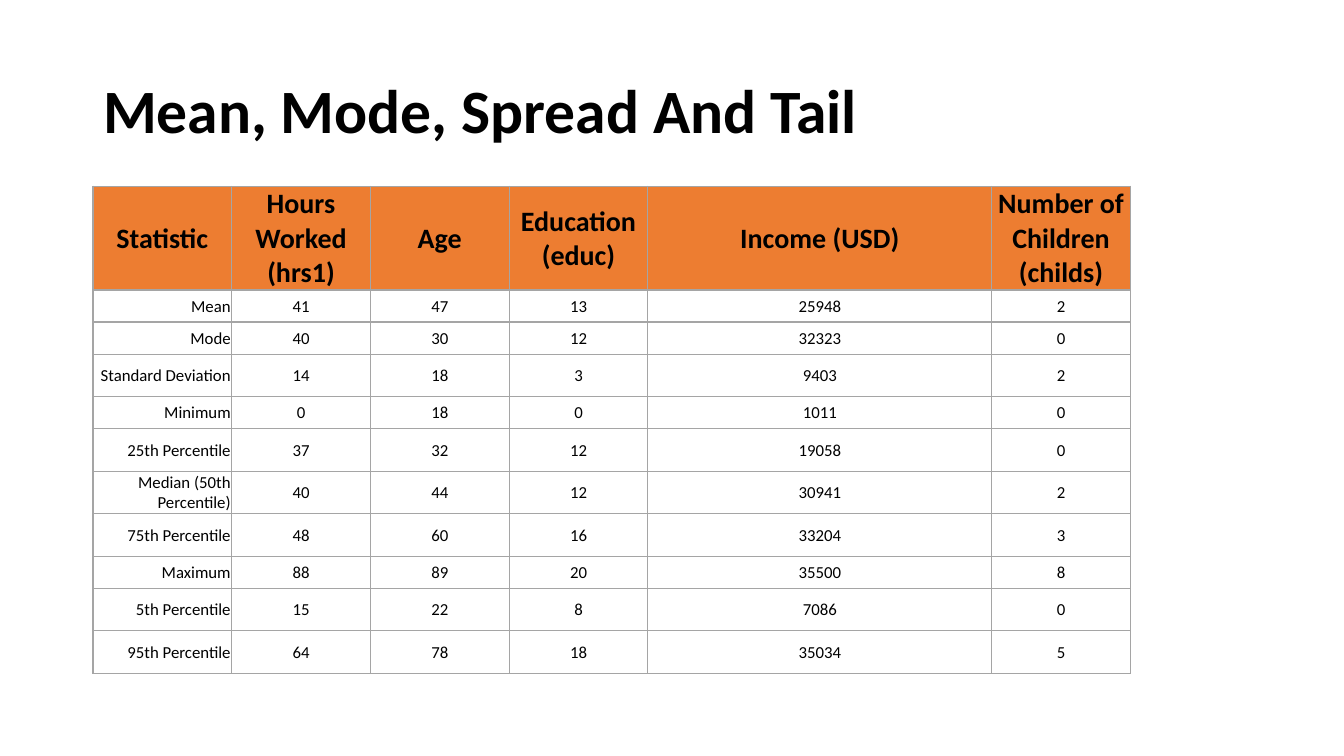
from dataclasses import dataclass

from lxml import etree
from pptx import Presentation
from pptx.dml.color import RGBColor
from pptx.enum.text import MSO_ANCHOR, PP_ALIGN
from pptx.oxml.ns import qn
from pptx.util import Pt

MIDDLE = MSO_ANCHOR.MIDDLE
LEFT, CENTER, RIGHT = PP_ALIGN.LEFT, PP_ALIGN.CENTER, PP_ALIGN.RIGHT
TITLE_ONLY = 5


@dataclass(frozen=True)
class Theme:
    """Colours, font and type sizes of the slide."""
    font: str = "Calibri"
    text: str = "000000"
    header_fill: str = "ED7D31"
    border: str = "A5A5A5"
    title_size: int = 44
    header_size: int = 20
    body_size: int = 12


THEME = Theme()
TITLE = "Mean, Mode, Spread And Tail"
MARGIN_LEFT = 66.4
TABLE_TOP = 133
NARROW, WIDE = 99.1, 245.6
HEADER_HEIGHT, SHORT, TALL = 74, 22.9, 30.4
COLUMN_WIDTHS = [NARROW, NARROW, NARROW, NARROW, WIDE, NARROW]
HEADERS = ["Statistic", "Hours Worked (hrs1)", "Age", "Education (educ)",
           "Income (USD)", "Number of Children (childs)"]
STATISTICS = [
    ("Mean", 41, 47, 13, 25948, 2),
    ("Mode", 40, 30, 12, 32323, 0),
    ("Standard Deviation", 14, 18, 3, 9403, 2),
    ("Minimum", 0, 18, 0, 1011, 0),
    ("25th Percentile", 37, 32, 12, 19058, 0),
    ("Median (50th Percentile)", 40, 44, 12, 30941, 2),
    ("75th Percentile", 48, 60, 16, 33204, 3),
    ("Maximum", 88, 89, 20, 35500, 8),
    ("5th Percentile", 15, 22, 8, 7086, 0),
    ("95th Percentile", 64, 78, 18, 35034, 5),
]


def write_text(text_frame, text, size, alignment, bold=False):
    """Write one formatted run into the first paragraph."""
    paragraph = text_frame.paragraphs[0]
    paragraph.alignment = alignment
    run = paragraph.add_run()
    run.text = text
    run.font.name = THEME.font
    run.font.size = Pt(size)
    run.font.bold = bold
    run.font.color.rgb = RGBColor.from_string(THEME.text)
    return paragraph


def add_title(slide):
    """Place and format the title placeholder."""
    title = slide.shapes.title
    title.left, title.top = Pt(MARGIN_LEFT), Pt(28.8)
    title.width, title.height = Pt(828), Pt(104.4)
    title.text_frame.vertical_anchor = MIDDLE
    paragraph = write_text(title.text_frame, TITLE, THEME.title_size, LEFT, bold=True)
    paragraph.line_spacing = 0.9


def set_borders(cell):
    """Draw a thin line on all four sides of a cell."""
    properties = cell._tc.get_or_add_tcPr()
    for index, side in enumerate(("a:lnL", "a:lnR", "a:lnT", "a:lnB")):
        line = etree.Element(qn(side), w=str(Pt(1)))
        fill = etree.SubElement(line, qn("a:solidFill"))
        etree.SubElement(fill, qn("a:srgbClr"), val=THEME.border)
        properties.insert(index, line)


def format_cell(cell, text, size, alignment, fill=None):
    """Fill one cell with text; a fill colour marks a header."""
    cell.vertical_anchor = MIDDLE
    cell.margin_left = cell.margin_right = cell.margin_top = Pt(0.7)
    cell.margin_bottom = Pt(0)
    write_text(cell.text_frame, text, size, alignment, bold=fill is not None)
    if fill:
        cell.fill.solid()
        cell.fill.fore_color.rgb = RGBColor.from_string(fill)
    else:
        cell.fill.background()
    set_borders(cell)


def row_height(label):
    """Give labels of several words a taller row."""
    return TALL if " " in label else SHORT


def add_statistics_table(slide):
    """Add the table of summary statistics."""
    heights = [HEADER_HEIGHT] + [row_height(row[0]) for row in STATISTICS]
    table = slide.shapes.add_table(
        len(heights), len(HEADERS), Pt(MARGIN_LEFT), Pt(TABLE_TOP),
        Pt(sum(COLUMN_WIDTHS)), Pt(sum(heights))).table
    table.horz_banding = False
    for column, width in zip(table.columns, COLUMN_WIDTHS):
        column.width = Pt(width)
    for row, height in zip(table.rows, heights):
        row.height = Pt(height)
    for column, header in enumerate(HEADERS):
        format_cell(table.cell(0, column), header, THEME.header_size, CENTER,
                    THEME.header_fill)
    for row, values in enumerate(STATISTICS, start=1):
        for column, value in enumerate(values):
            alignment = CENTER if column else RIGHT
            format_cell(table.cell(row, column), str(value), THEME.body_size, alignment)


def main():
    """Build the slide and save it."""
    presentation = Presentation()
    presentation.slide_width, presentation.slide_height = Pt(960), Pt(540)
    slide = presentation.slides.add_slide(presentation.slide_layouts[TITLE_ONLY])
    add_title(slide)
    add_statistics_table(slide)
    presentation.save("out.pptx")


if __name__ == "__main__":
    main()
